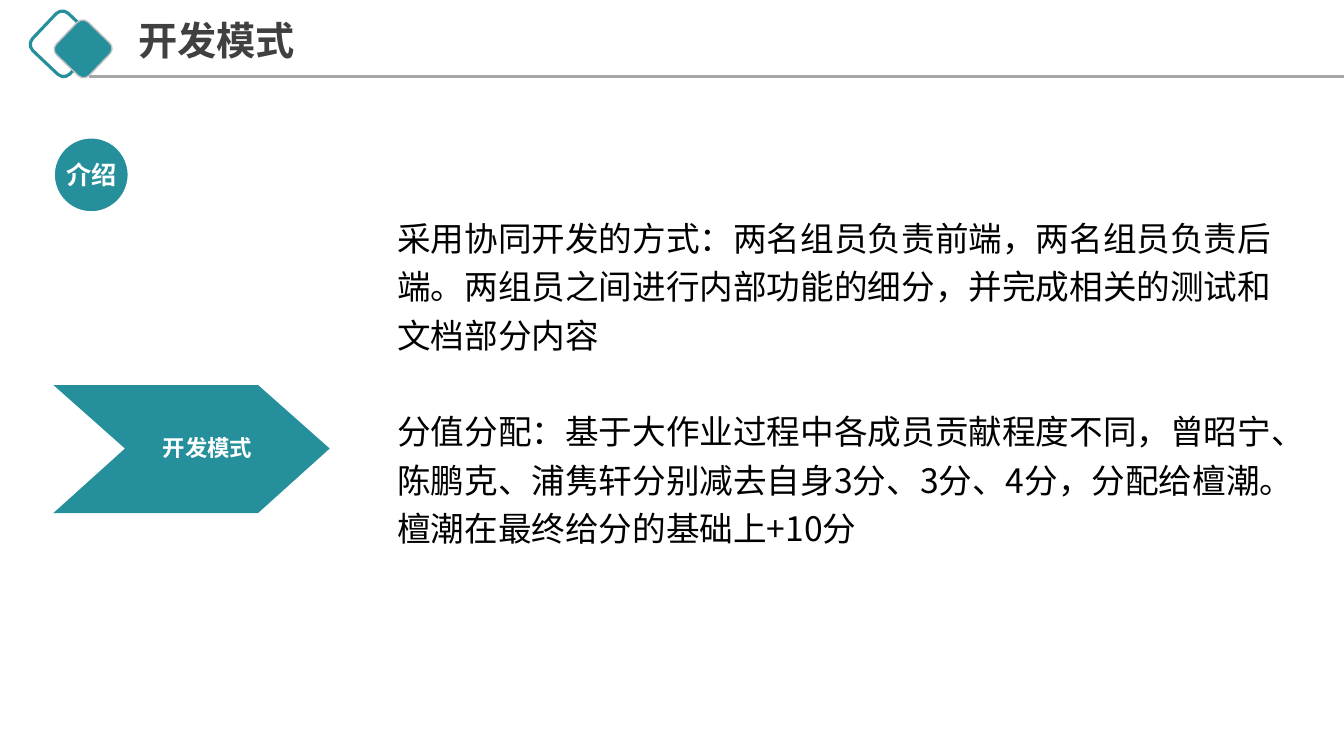
from dataclasses import dataclass
from typing import Any

from lxml.etree import SubElement
from pptx import Presentation
from pptx.dml.color import RGBColor
from pptx.enum.shapes import MSO_CONNECTOR, MSO_SHAPE
from pptx.enum.text import MSO_ANCHOR, MSO_AUTO_SIZE, PP_ALIGN
from pptx.oxml.ns import qn
from pptx.util import Inches, Pt

HUES = {"teal": "268F9C", "rule": "A6A6A6", "edge": "BFBFBF",
        "white": "FFFFFF", "title": "404040", "black": "000000"}
SANS = "Noto Sans CJK SC"
FLUSH = {"marL": "0", "indent": "0"}
BODY = [
    "采用协同开发的方式：两名组员负责前端，两名组员负责后端。"
    "两组员之间进行内部功能的细分，并完成相关的测试和文档部分内容",
    "分值分配：基于大作业过程中各成员贡献程度不同，曾昭宁、陈鹏克、浦隽轩"
    "分别减去自身3分、3分、4分，分配给檀潮。檀潮在最终给分的基础上+10分",
]


@dataclass
class Style:
    size: int
    face: str
    hue: str
    bold: bool
    align: Any
    space: float = 1.0
    gap: float = 0


@dataclass
class Mark:
    kind: Any
    left: float
    top: float
    side: float
    turn: float
    fill: str
    line: str
    width: float
    text: str = ""


TITLE = Style(28, SANS, "title", True, PP_ALIGN.LEFT, 0.9)
PROSE = Style(24, SANS, "black", False, PP_ALIGN.LEFT, 1.2, 34.6)
BADGE = Style(18, "Arial", "white", True, PP_ALIGN.CENTER)
LABEL = Style(16, "Arial", "white", True, PP_ALIGN.CENTER)
MARKS = [
    Mark(MSO_SHAPE.ROUNDED_RECTANGLE, 0.37, 0.18, 0.51, 43.4, "", "teal", 2.25),
    Mark(MSO_SHAPE.ROUNDED_RECTANGLE, 0.6, 0.26, 0.45, 43.9, "teal", "edge", 1),
    Mark(MSO_SHAPE.OVAL, 0.53, 1.36, 0.75, 0, "teal", "white", 2, "介绍"),
]
ARROW = [(0.53, 3.82), (2.56, 3.82), (3.27, 4.45),
         (2.56, 5.09), (0.53, 5.09), (1.24, 4.45)]


def tint(name: str) -> RGBColor:
    return RGBColor.from_string(HUES[name])


def apply(item: Any, **form: Any) -> None:
    for key, value in form.items():
        setattr(item, key, value)


def write(shape: Any, lines: list[str], style: Style, anchor: Any,
          pads: tuple[float, ...], wrap: bool = True) -> None:
    frame = shape.text_frame
    left, top, right, base = map(Inches, pads)
    apply(frame, auto_size=MSO_AUTO_SIZE.NONE, word_wrap=wrap,
          vertical_anchor=anchor, margin_left=left, margin_top=top,
          margin_right=right, margin_bottom=base)
    for index, line in enumerate(lines):
        para = frame.add_paragraph() if index else frame.paragraphs[0]
        props = para._p.get_or_add_pPr()
        for key, value in FLUSH.items():
            props.set(key, value)
        SubElement(props, qn("a:buNone"))
        apply(para, alignment=style.align, line_spacing=style.space,
              space_before=Pt(style.gap if index else 0))
        run = para.add_run()
        apply(run, text=line)
        apply(run.font, size=Pt(style.size), name=style.face, bold=style.bold)
        run.font.color.rgb = tint(style.hue)
        if style.face == SANS:
            SubElement(run.font._element, qn("a:ea")).set("typeface", SANS)


def place(shape: Any, left: float, top: float, width: float, height: float) -> None:
    apply(shape, left=Inches(left), top=Inches(top),
          width=Inches(width), height=Inches(height))


def paint(shape: Any, fill: str, line: str, width: float = 0) -> None:
    shape.shadow.inherit = False
    if fill:
        shape.fill.solid()
        shape.fill.fore_color.rgb = tint(fill)
    else:
        shape.fill.background()
    if line:
        shape.line.color.rgb = tint(line)
        shape.line.width = Pt(width)
    else:
        shape.line.fill.background()


def draw(slide: Any, mark: Mark) -> None:
    side = Inches(mark.side)
    shape = slide.shapes.add_shape(
        mark.kind, Inches(mark.left), Inches(mark.top), side, side)
    shape.rotation = mark.turn
    paint(shape, mark.fill, mark.line, mark.width)
    if mark.text:
        write(shape, [mark.text], BADGE, MSO_ANCHOR.MIDDLE, (0, 0, 0, 0), False)


def rule(slide: Any) -> None:
    line = slide.shapes.add_connector(
        MSO_CONNECTOR.STRAIGHT, Inches(0.88), Inches(0.76),
        Inches(13.33), Inches(0.76))
    line.line.color.rgb = tint("rule")
    line.line.width = Pt(2.25)
    SubElement(line._element.spPr, qn("a:effectLst"))


def arrow(slide: Any) -> None:
    spots = [(Inches(x), Inches(y)) for x, y in ARROW]
    pen = slide.shapes.build_freeform(*spots[0])
    pen.add_line_segments(spots[1:], close=True)
    shape = pen.convert_to_shape()
    paint(shape, "teal", "")
    write(shape, ["开发模式"], LABEL, MSO_ANCHOR.MIDDLE, (0.6, 0, 0.28, 0.02))


def main() -> None:
    deck = Presentation()
    apply(deck, slide_width=Inches(13.33), slide_height=Inches(7.5))
    slide = deck.slides.add_slide(deck.slide_layouts[1])
    title, body = slide.placeholders
    pads = (0.1, 0.05, 0.1, 0.05)
    place(title, 1.27, 0.16, 5.71, 0.59)
    write(title, ["开发模式"], TITLE, MSO_ANCHOR.TOP, pads)
    place(body, 3.84, 2.03, 8.96, 3.97)
    write(body, BODY, PROSE, MSO_ANCHOR.TOP, pads)
    first, *rest = MARKS
    draw(slide, first)
    rule(slide)
    for mark in rest:
        draw(slide, mark)
    arrow(slide)
    deck.save("out.pptx")


if __name__ == "__main__":
    main()
